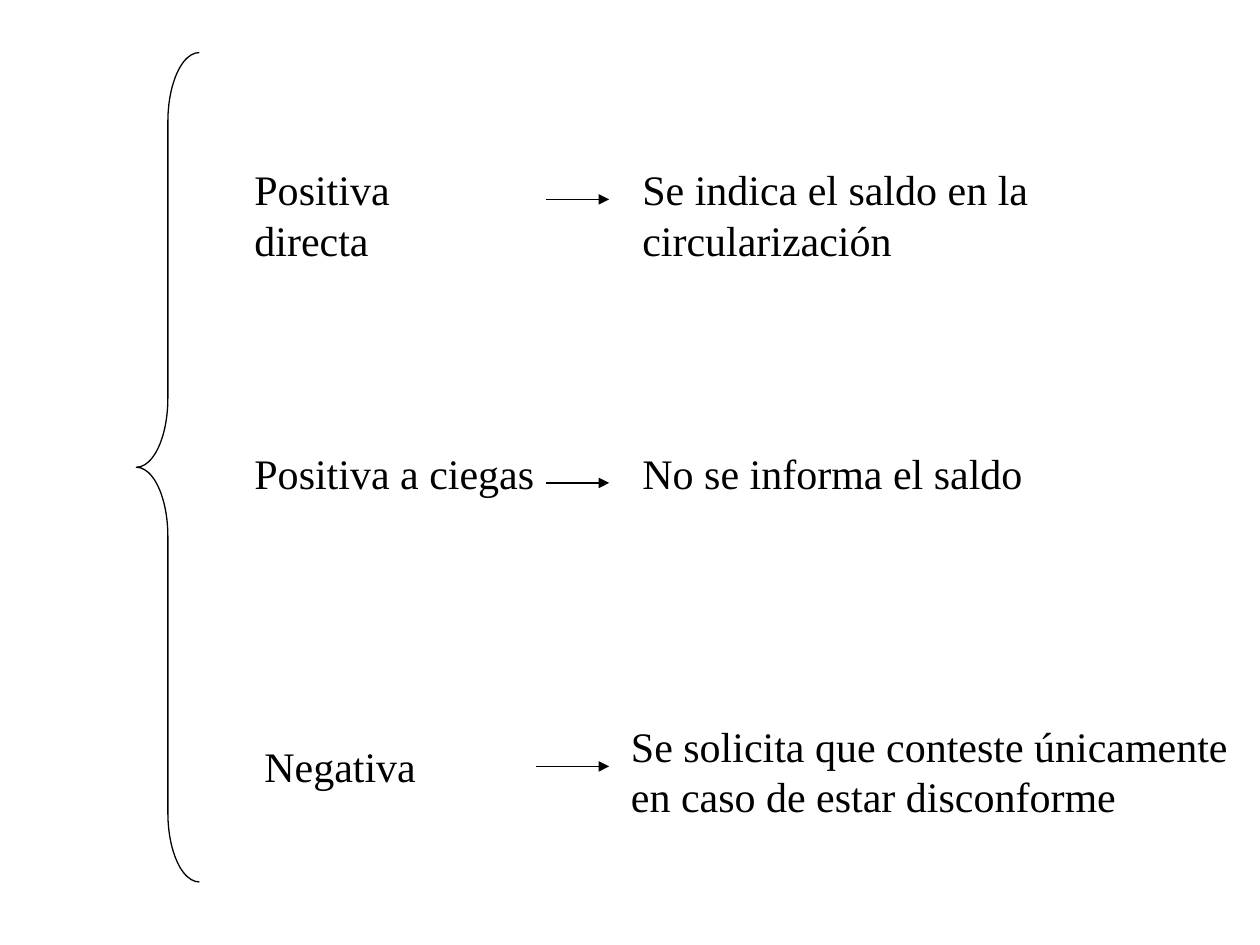
from lxml import etree
from pptx import Presentation
from pptx.dml.color import RGBColor
from pptx.enum.shapes import MSO_CONNECTOR, MSO_SHAPE
from pptx.enum.text import MSO_AUTO_SIZE
from pptx.oxml.ns import qn
from pptx.util import Cm, Pt

STRAIGHT = MSO_CONNECTOR.STRAIGHT
LEFT_BRACE = MSO_SHAPE.LEFT_BRACE
FIT_SHAPE = MSO_AUTO_SIZE.SHAPE_TO_FIT_TEXT

FONT, FONT_SIZE = "Times New Roman", 24
BLACK = "000000"
LINE_WIDTH = 0.75
BLANK_LAYOUT = 6

# Each label and meaning: lines of text, left, top, width (cm)
# Each arrow: start (cm)
CONFIRMATIONS = [
    {"label": (["Positiva directa"], 4.88, 3.18, 5.74),
     "meaning": (["Se indica el saldo en la", "circularización"], 12.7, 3.18, 8.48),
     "arrow_start": 11},
    {"label": (["Positiva a ciegas"], 4.88, 8.89, 6.15),
     "meaning": (["No se informa el saldo"], 12.7, 8.89, 8.18),
     "arrow_start": 11},
    {"label": (["Negativa"], 5.08, 14.81, 3.56),
     "meaning": (["Se solicita que conteste únicamente",
                  "en caso de estar disconforme"], 12.47, 14.4, 12.75),
     "arrow_start": 10.8},
]
ARROW_END = 12.28
FIRST_ARROW_TOP, ARROW_STEP = 4.02, 5.715
ONE_LINE_HEIGHT, EXTRA_LINE_HEIGHT = 1.27, 1.02


def color(hex_value):
    return RGBColor.from_string(hex_value)


def format_line(line):
    line.color.rgb = color(BLACK)
    line.width = Pt(LINE_WIDTH)


def add_text(slide, lines, left, top, width):
    height = ONE_LINE_HEIGHT + EXTRA_LINE_HEIGHT * (len(lines) - 1)
    box = slide.shapes.add_textbox(Cm(left), Cm(top), Cm(width), Cm(height))
    frame = box.text_frame
    frame.word_wrap = False
    frame.auto_size = FIT_SHAPE
    for index, text in enumerate(lines):
        paragraph = frame.add_paragraph() if index else frame.paragraphs[0]
        run = paragraph.add_run()
        run.text = text
        run.font.name = FONT
        run.font.size = Pt(FONT_SIZE)
        run.font.color.rgb = color(BLACK)


def add_arrow(slide, start, end, top):
    arrow = slide.shapes.add_connector(STRAIGHT, Cm(start), Cm(top), Cm(end), Cm(top))
    format_line(arrow.line)
    etree.SubElement(arrow.line._get_or_add_ln(), qn("a:tailEnd"), type="triangle")
    etree.SubElement(arrow._element.spPr, qn("a:effectLst"))


def add_brace(slide):
    brace = slide.shapes.add_shape(LEFT_BRACE, Cm(2.75), Cm(1.06), Cm(1.27), Cm(16.72))
    brace.adjustments[0] = 1.1
    brace.shadow.inherit = False
    brace.fill.background()
    format_line(brace.line)


def main():
    presentation = Presentation()
    presentation.slide_width = Cm(25.4)
    presentation.slide_height = Cm(19.05)
    slide = presentation.slides.add_slide(presentation.slide_layouts[BLANK_LAYOUT])

    add_brace(slide)
    for index, confirmation in enumerate(CONFIRMATIONS):
        add_text(slide, *confirmation["label"])
        add_text(slide, *confirmation["meaning"])
        add_arrow(slide, confirmation["arrow_start"], ARROW_END,
                  FIRST_ARROW_TOP + index * ARROW_STEP)

    presentation.save("out.pptx")


if __name__ == "__main__":
    main()
